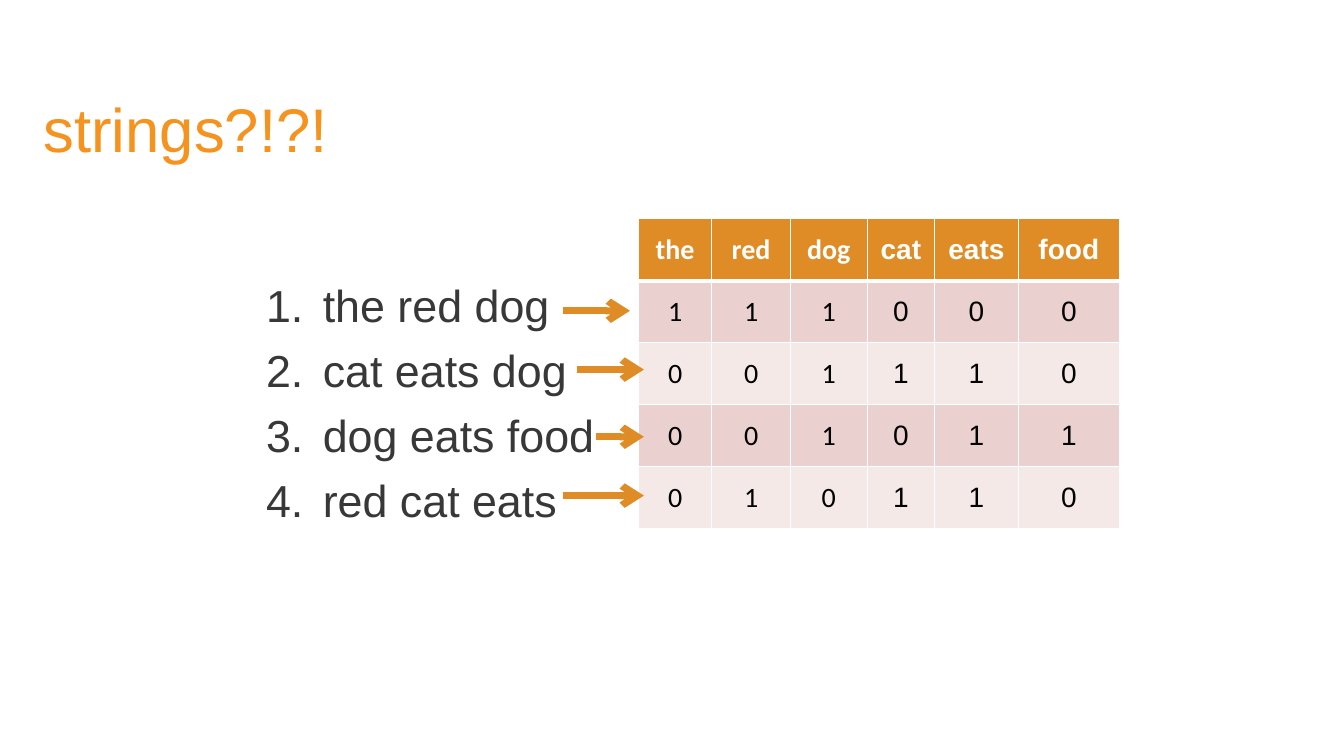
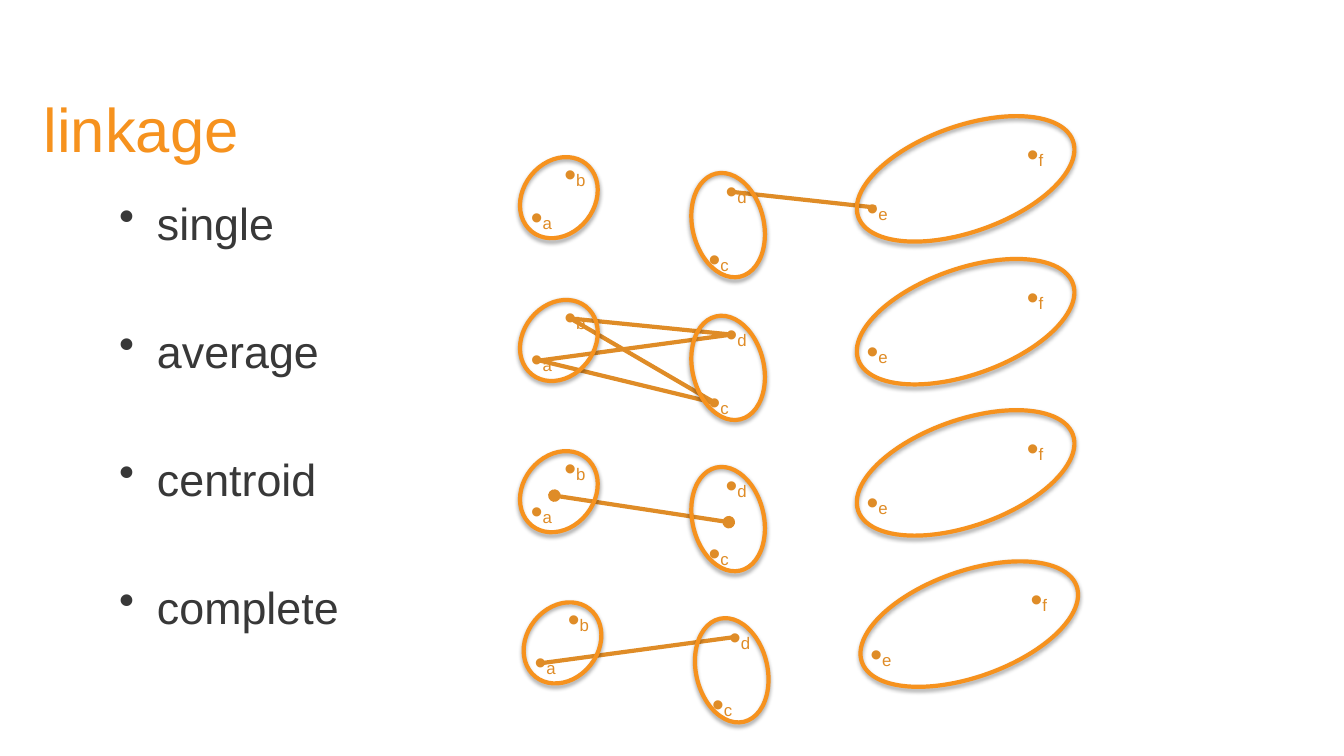
"""Build two slides: word counts of strings, and cluster linkage types."""
from dataclasses import dataclass
from itertools import product
from typing import NamedTuple

from lxml import etree
from pptx import Presentation
from pptx.dml.color import RGBColor
from pptx.enum.shapes import MSO_CONNECTOR, MSO_SHAPE
from pptx.enum.text import MSO_ANCHOR, MSO_AUTO_SIZE, PP_ALIGN
from pptx.oxml.ns import qn
from pptx.shapes.connector import Connector
from pptx.slide import Slide
from pptx.table import _Cell
from pptx.text.text import Font, TextFrame
from pptx.util import Pt

STRAIGHT = MSO_CONNECTOR.STRAIGHT
ELLIPSE = MSO_SHAPE.OVAL
MIDDLE = MSO_ANCHOR.MIDDLE
BOTTOM = MSO_ANCHOR.BOTTOM
CENTER = PP_ALIGN.CENTER
FIT_SHAPE = MSO_AUTO_SIZE.SHAPE_TO_FIT_TEXT


@dataclass(frozen=True)
class Theme:
    title: str = "F6921E"
    accent: str = "DF8C27"
    body: str = "383838"
    white: str = "FFFFFF"
    black: str = "000000"
    odd_row: str = "EAD0CE"
    even_row: str = "F5E9E8"
    font: str = "Arial"
    table_font: str = "Calibri"
    title_size: float = 44
    body_size: float = 32
    dot_size: float = 24
    table_size: float = 20
    label_size: float = 12


THEME = Theme()


class Box(NamedTuple):
    left: float
    top: float
    width: float
    height: float


class Point(NamedTuple):
    x: float
    y: float


@dataclass(frozen=True)
class ListStyle:
    bullet_tag: str
    bullet_attribute: str
    bullet_value: str
    indent: float
    gap: float


@dataclass(frozen=True)
class Cluster:
    box: Box
    rotation: float


@dataclass(frozen=True)
class Linkage:
    name: str
    offset: Point
    links: tuple[tuple[str, str], ...]
    line_end: str = ""


NUMBERED = ListStyle("a:buAutoNum", "type", "arabicPeriod", 40.5, 8)
BULLETED = ListStyle("a:buChar", "char", "•", 27, 53)

SENTENCES = ("the red dog", "cat eats dog", "dog eats food", "red cat eats")
WORDS = ("the", "red", "dog", "cat", "eats", "food")
COUNTS = ("111000", "001110", "001011", "010110")
COLUMN_WIDTHS = (52.5, 56, 55, 48, 60, 72)
ROW_HEIGHT = 44.3
TABLE_FONT_COLUMNS = 3
ARROWS = (
    (Point(402, 222), 48),
    (Point(412, 264), 48),
    (Point(426, 312), 34),
    (Point(402, 354), 58),
)

CLUSTERS = (
    Cluster(Box(373.7, 110.2, 51, 62), 38.6),
    Cluster(Box(494.6, 123, 51, 75.6), 346.8),
    Cluster(Box(608.4, 90, 162.7, 75.6), 340.5),
)
DOT_LABELS = {
    "b": Box(396, 105.6, 29.5, 36),
    "a": Box(372.2, 136.1, 29.5, 36),
    "c": Box(499, 166.3, 29.5, 36),
    "d": Box(511.2, 118, 29.5, 36),
    "e": Box(612, 130.2, 29.5, 36),
    "f": Box(726.5, 91.4, 26.6, 36),
}
LINK_POINTS = {
    "a": Point(385.5, 155.5),
    "b": Point(407.5, 125.5),
    "c": Point(511.2, 186),
    "d": Point(522.5, 137),
    "e": Point(625.7, 148.3),
    "left centroid": Point(396, 144),
    "right centroid": Point(520.6, 163),
}
LINKAGES = (
    Linkage("single", Point(0, 0), (("d", "e"),)),
    Linkage("average", Point(0, 102), tuple(product("ab", "cd"))),
    Linkage("centroid", Point(0, 210), (("left centroid", "right centroid"),), "oval"),
    Linkage("complete", Point(2.6, 318), (("a", "d"),)),
)


def color(value: str) -> RGBColor:
    """Return the colour for a hexadecimal value."""
    return RGBColor.from_string(value)


def style_font(font: Font, size: float, fill: str, name: str = THEME.font) -> None:
    """Set size, colour and typeface of a font."""
    font.size = Pt(size)
    font.name = name
    font.color.rgb = color(fill)


def add_text_frame(slide: Slide, box: Box) -> TextFrame:
    """Add a text box and return its wrapped text frame."""
    text_frame = slide.shapes.add_textbox(*map(Pt, box)).text_frame
    text_frame.word_wrap = True
    return text_frame


def add_titled_slide(presentation: Presentation, title: str) -> Slide:
    """Add a blank slide with the shared title style."""
    slide = presentation.slides.add_slide(presentation.slide_layouts[6])
    text_frame = add_text_frame(slide, Box(24, 53.3, 900, 67.7))
    text_frame.vertical_anchor = BOTTOM
    text_frame.text = title
    style_font(text_frame.paragraphs[0].runs[0].font, THEME.title_size, THEME.title)
    return slide


def add_list(slide: Slide, box: Box, items: tuple[str, ...], style: ListStyle) -> None:
    """Add a bulleted or numbered list."""
    text_frame = add_text_frame(slide, box)
    text_frame.text = "\n".join(items)
    for index, paragraph in enumerate(text_frame.paragraphs):
        properties = paragraph._p.get_or_add_pPr()
        properties.set("marL", str(Pt(style.indent)))
        properties.set("indent", str(-Pt(style.indent)))
        bullet = etree.SubElement(properties, qn(style.bullet_tag))
        bullet.set(style.bullet_attribute, style.bullet_value)
        paragraph.space_before = Pt(style.gap if index else 0)
        style_font(paragraph.runs[0].font, THEME.body_size, THEME.body)


def add_line(slide: Slide, start: Point, end: Point, width: float) -> Connector:
    """Add a straight accent line without a shadow."""
    connector = slide.shapes.add_connector(STRAIGHT, *map(Pt, (*start, *end)))
    connector.line.color.rgb = color(THEME.accent)
    connector.line.width = Pt(width)
    etree.SubElement(connector._element.spPr, qn("a:effectLst"))
    return connector


def set_line_end(connector: Connector, tag: str, kind: str) -> None:
    """Put an end mark on a connector."""
    line = connector.line._get_or_add_ln()
    etree.SubElement(line, qn(tag)).set("type", kind)


def set_borders(cell: _Cell, row: int) -> None:
    """Give a cell white borders, thicker below the header."""
    properties = cell._tc.get_or_add_tcPr()
    widths = {"L": 1, "R": 1, "T": 3 if row == 1 else 1, "B": 3 if row == 0 else 1}
    for side, width in widths.items():
        line = etree.SubElement(properties, qn(f"a:ln{side}"), w=str(Pt(width)))
        fill = etree.SubElement(line, qn("a:solidFill"))
        etree.SubElement(fill, qn("a:srgbClr"), val=THEME.white)


def fill_cell(cell: _Cell, text: str, row: int, column: int) -> None:
    """Write and format one cell of the word count table."""
    header = row == 0
    set_borders(cell, row)
    cell.fill.solid()
    band = THEME.odd_row if row % 2 else THEME.even_row
    cell.fill.fore_color.rgb = color(THEME.accent if header else band)
    cell.vertical_anchor = MIDDLE
    cell.text_frame.text = text
    paragraph = cell.text_frame.paragraphs[0]
    paragraph.alignment = CENTER
    font = paragraph.runs[0].font
    name = THEME.table_font if column < TABLE_FONT_COLUMNS else THEME.font
    style_font(font, THEME.table_size, THEME.white if header else THEME.black, name)
    font.bold = header


def add_count_table(slide: Slide) -> None:
    """Add the table of words in each sentence."""
    rows = (WORDS, *COUNTS)
    box = Box(456, 156.3, sum(COLUMN_WIDTHS), ROW_HEIGHT * len(rows))
    table = slide.shapes.add_table(len(rows), len(WORDS), *map(Pt, box)).table
    for column, width in zip(table.columns, COLUMN_WIDTHS):
        column.width = Pt(width)
    for row, texts in enumerate(rows):
        table.rows[row].height = Pt(ROW_HEIGHT)
        for column, text in enumerate(texts):
            fill_cell(table.cell(row, column), text, row, column)


def shift(box: Box, offset: Point) -> Box:
    """Move a box by an offset."""
    return box._replace(left=box.left + offset.x, top=box.top + offset.y)


def add_cluster(slide: Slide, cluster: Cluster, offset: Point) -> None:
    """Add a rotated outline with a soft shadow."""
    shape = slide.shapes.add_shape(ELLIPSE, *map(Pt, shift(cluster.box, offset)))
    shape.rotation = cluster.rotation
    shape.fill.background()
    shape.line.color.rgb = color(THEME.title)
    shape.line.width = Pt(3)
    shape.shadow.inherit = False
    effects = shape._element.spPr.find(qn("a:effectLst"))
    shadow = etree.SubElement(
        effects, qn("a:outerShdw"), blurRad=str(Pt(3.1)), dist=str(Pt(1.8)),
        dir="5400000", rotWithShape="0",
    )
    shade = etree.SubElement(shadow, qn("a:srgbClr"), val=THEME.black)
    etree.SubElement(shade, qn("a:alpha"), val="35000")


def add_dot_label(slide: Slide, label: str, box: Box) -> None:
    """Add a dot followed by its letter."""
    text_frame = add_text_frame(slide, box)
    text_frame.word_wrap = False
    text_frame.auto_size = FIT_SHAPE
    text_frame.vertical_anchor = MIDDLE
    paragraph = text_frame.paragraphs[0]
    for text, size in (("•", THEME.dot_size), (label, THEME.label_size)):
        run = paragraph.add_run()
        run.text = text
        style_font(run.font, size, THEME.accent)


def add_linkage(slide: Slide, linkage: Linkage) -> None:
    """Draw one row of clusters and the links between them."""
    offset = linkage.offset
    for names in linkage.links:
        start, end = (
            Point(LINK_POINTS[name].x + offset.x, LINK_POINTS[name].y + offset.y)
            for name in names
        )
        connector = add_line(slide, start, end, 3)
        if linkage.line_end:
            for tag in ("a:headEnd", "a:tailEnd"):
                set_line_end(connector, tag, linkage.line_end)
    for cluster in CLUSTERS:
        add_cluster(slide, cluster, offset)
    for label, box in DOT_LABELS.items():
        add_dot_label(slide, label, shift(box, offset))


def main() -> None:
    """Build and save the presentation."""
    presentation = Presentation()
    presentation.slide_width, presentation.slide_height = Pt(960), Pt(540)

    strings = add_titled_slide(presentation, "strings?!?!")
    add_list(strings, Box(183, 195, 258, 200), SENTENCES, NUMBERED)
    add_count_table(strings)
    for start, length in ARROWS:
        arrow = add_line(strings, start, Point(start.x + length, start.y), 5)
        set_line_end(arrow, "a:tailEnd", "arrow")

    linkage_slide = add_titled_slide(presentation, "linkage")
    names = tuple(linkage.name for linkage in LINKAGES)
    add_list(linkage_slide, Box(78, 136, 846, 352), names, BULLETED)
    for linkage in LINKAGES:
        add_linkage(linkage_slide, linkage)

    presentation.save("out.pptx")


if __name__ == "__main__":
    main()
